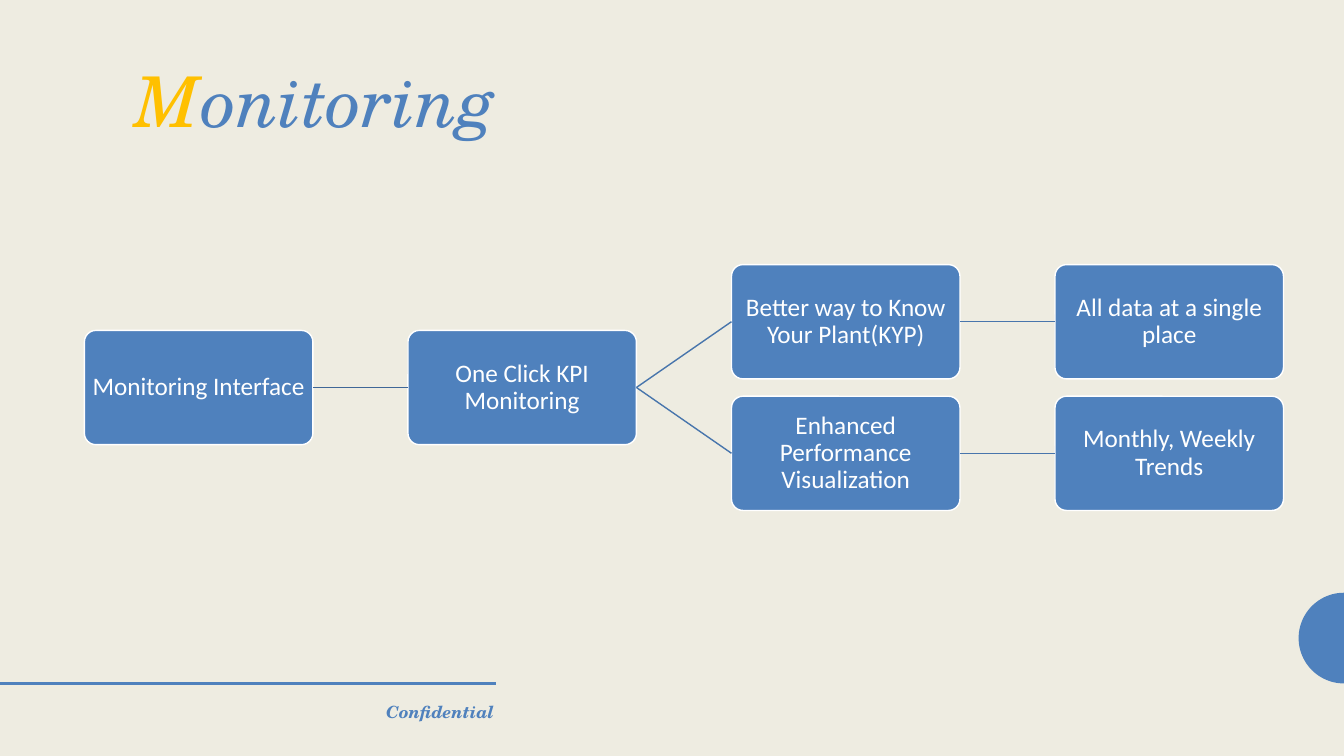
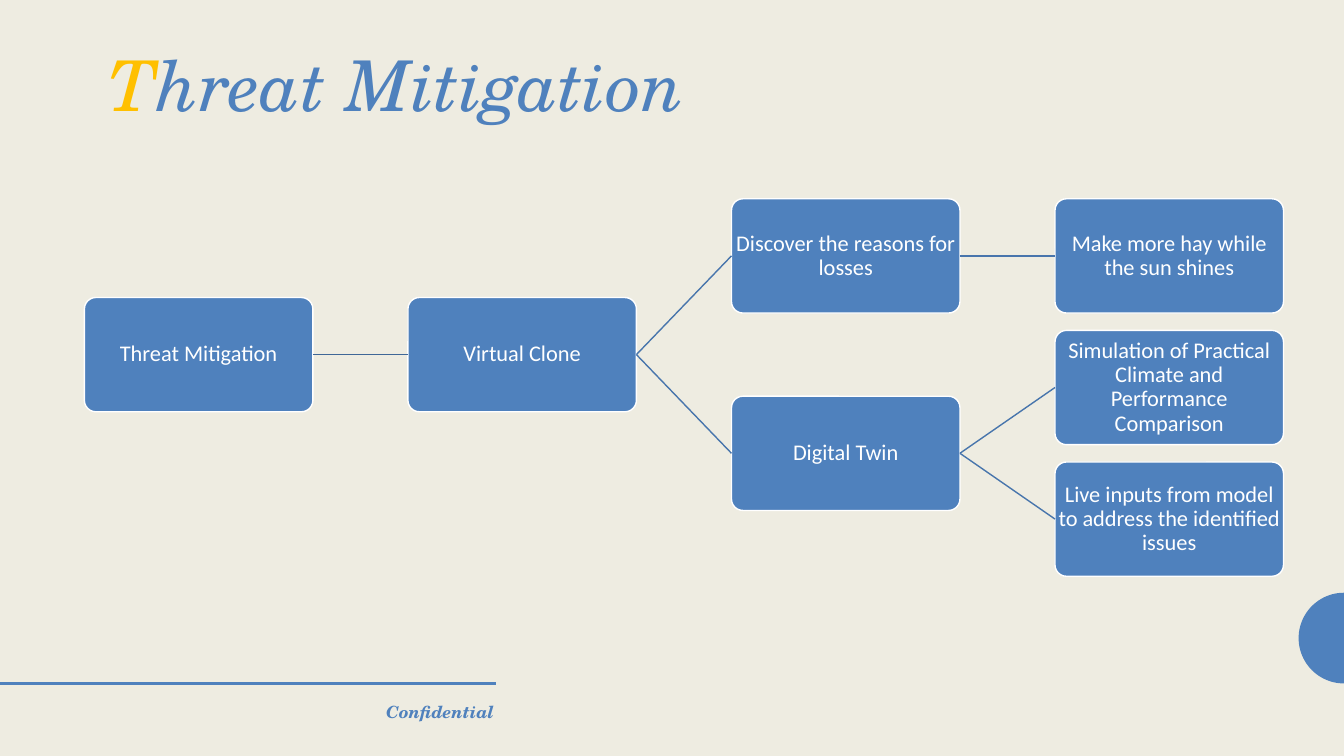
from math import cos, pi, sin

from lxml.etree import SubElement
from pptx import Presentation
from pptx.dml.color import RGBColor
from pptx.enum.shapes import MSO_CONNECTOR, MSO_SHAPE
from pptx.enum.text import MSO_ANCHOR, MSO_AUTO_SIZE, PP_ALIGN
from pptx.oxml.ns import qn
from pptx.util import Pt

CREAM = RGBColor(0xEE, 0xEC, 0xE1)
BLUE = RGBColor(0x4F, 0x81, 0xBD)
ROOT_LINK = RGBColor(0x3F, 0x67, 0x97)
LINK = RGBColor(0x48, 0x75, 0xAC)
GOLD = RGBColor(0xFF, 0xC0, 0x00)
WHITE = RGBColor(0xFF, 0xFF, 0xFF)
SERIF, SANS = "TeX Gyre Schola", "Calibri"

SLIDE_W, SLIDE_H = 960, 540
TREE_BOX = (60.3, 142, 856.5, 269.6)
COLUMNS = 4
NODE_W, NODE_H = 163.2, 81.6
ROW_PITCH = 94

MONITORING = ("Monitoring Interface", [
    ("One Click KPI Monitoring", [
        ("Better way to Know Your Plant(KYP)", [
            ("All data at a single place", [])]),
        ("Enhanced Performance Visualization", [
            ("Monthly, Weekly Trends", [])])])])

MITIGATION = ("Threat Mitigation", [
    ("Virtual Clone", [
        ("Discover the reasons for losses", [
            ("Make more hay while the sun shines", [])]),
        ("Digital Twin", [
            ("Simulation of Practical Climate and Performance Comparison", []),
            ("Live inputs from model to address the identified issues", [])])])])


def style_font(font, name, size, color, bold=False, italic=False):
    font.name, font.size = name, Pt(size)
    font.bold, font.italic = bold, italic
    font.color.rgb = color


def style_line(cxn, color, width):
    cxn.line.color.rgb = color
    cxn.line.width = Pt(width)
    SubElement(cxn._element.spPr, qn("a:effectLst"))


def add_half_disc(s, right, center, radius):
    steps = 48
    points = [(Pt(right - radius * sin(pi * i / steps)),
               Pt(center - radius * cos(pi * i / steps)))
              for i in range(steps + 1)]
    builder = s.shapes.build_freeform(*points[0], scale=1.0)
    builder.add_line_segments(points[1:], close=True)
    sp = builder.convert_to_shape()
    sp.shadow.inherit = False
    sp.fill.solid()
    sp.fill.fore_color.rgb = BLUE
    sp.line.fill.background()


def add_footer(s, left, top, width, height):
    rule_y = Pt(top - 9.3)
    rule = s.shapes.add_connector(MSO_CONNECTOR.STRAIGHT, 0, rule_y,
                                  Pt(left + width - 6), rule_y)
    style_line(rule, BLUE, 2)
    tf = s.shapes.add_textbox(Pt(left), Pt(top), Pt(width), Pt(height)).text_frame
    tf.word_wrap = True
    p = tf.paragraphs[0]
    p.text = "Confidential"
    p.alignment = PP_ALIGN.RIGHT
    style_font(p.font, SERIF, 12, BLUE, bold=True, italic=True)


def add_title(s, text, left, top, width, height):
    sp = s.shapes.title
    sp.left, sp.top, sp.width, sp.height = map(Pt, (left, top, width, height))
    tf = sp.text_frame
    tf.word_wrap = True
    tf.auto_size = MSO_AUTO_SIZE.NONE
    tf.vertical_anchor = MSO_ANCHOR.TOP
    p = tf.paragraphs[0]
    p.alignment, p.line_spacing = PP_ALIGN.RIGHT, 0.9
    for part, color in ((text[0], GOLD), (text[1:], BLUE)):
        r = p.add_run()
        r.text = part
        style_font(r.font, SERIF, 50, color, italic=True)


def add_node(s, text, left, top, size):
    sp = s.shapes.add_shape(MSO_SHAPE.ROUNDED_RECTANGLE, Pt(left), Pt(top),
                            Pt(NODE_W), Pt(NODE_H))
    sp.adjustments[0] = 0.1
    sp.shadow.inherit = False
    sp.fill.solid()
    sp.fill.fore_color.rgb = BLUE
    sp.line.color.rgb = WHITE
    sp.line.width = Pt(1)
    tf = sp.text_frame
    tf.word_wrap = True
    tf.vertical_anchor = MSO_ANCHOR.MIDDLE
    tf.margin_left = tf.margin_right = tf.margin_top = tf.margin_bottom = 0
    p = tf.paragraphs[0]
    p.text = text
    p.alignment, p.line_spacing = PP_ALIGN.CENTER, 0.9
    style_font(p.font, SANS, size, WHITE)
    return sp


def count_leaves(node):
    return sum(map(count_leaves, node[1])) or 1


def add_tree(s, root, size, left, top, width, height):
    pitch = (width - NODE_W) / (COLUMNS - 1)
    used = (count_leaves(root) - 1) * ROW_PITCH + NODE_H
    first_top = top + (height - used) / 2

    def place(node, depth, row):
        text, children = node
        placed = []
        next_row = row
        for child in children:
            placed.append(place(child, depth + 1, next_row))
            next_row += count_leaves(child)
        if placed:
            row = (placed[0][1] + placed[-1][1]) / 2
        sp = add_node(s, text, left + depth * pitch, first_top + row * ROW_PITCH, size)
        for child_sp, _ in placed:
            cxn = s.shapes.add_connector(MSO_CONNECTOR.STRAIGHT, 0, 0, 0, 0)
            cxn.begin_connect(sp, 3)
            cxn.end_connect(child_sp, 1)
            style_line(cxn, LINK if depth else ROOT_LINK, 1)
        return sp, row

    place(root, 0, 0)


def add_tree_slide(prs, title, title_box, root, size):
    s = prs.slides.add_slide(prs.slide_layouts[5])
    add_half_disc(s, SLIDE_W, 455.8, 32.4)
    add_title(s, title, *title_box)
    add_tree(s, root, size, *TREE_BOX)
    add_footer(s, 60, 497.5, 300, 29)


def main():
    prs = Presentation()
    prs.slide_width, prs.slide_height = Pt(SLIDE_W), Pt(SLIDE_H)
    fill = prs.slide_master.background.fill
    fill.solid()
    fill.fore_color.rgb = CREAM
    add_tree_slide(prs, "Monitoring", (60, 44, 301.5, 390), MONITORING, 18)
    add_tree_slide(prs, "Threat Mitigation", (16.5, 32.5, 479.5, 78.5), MITIGATION, 16)
    prs.save("out.pptx")


if __name__ == "__main__":
    main()
